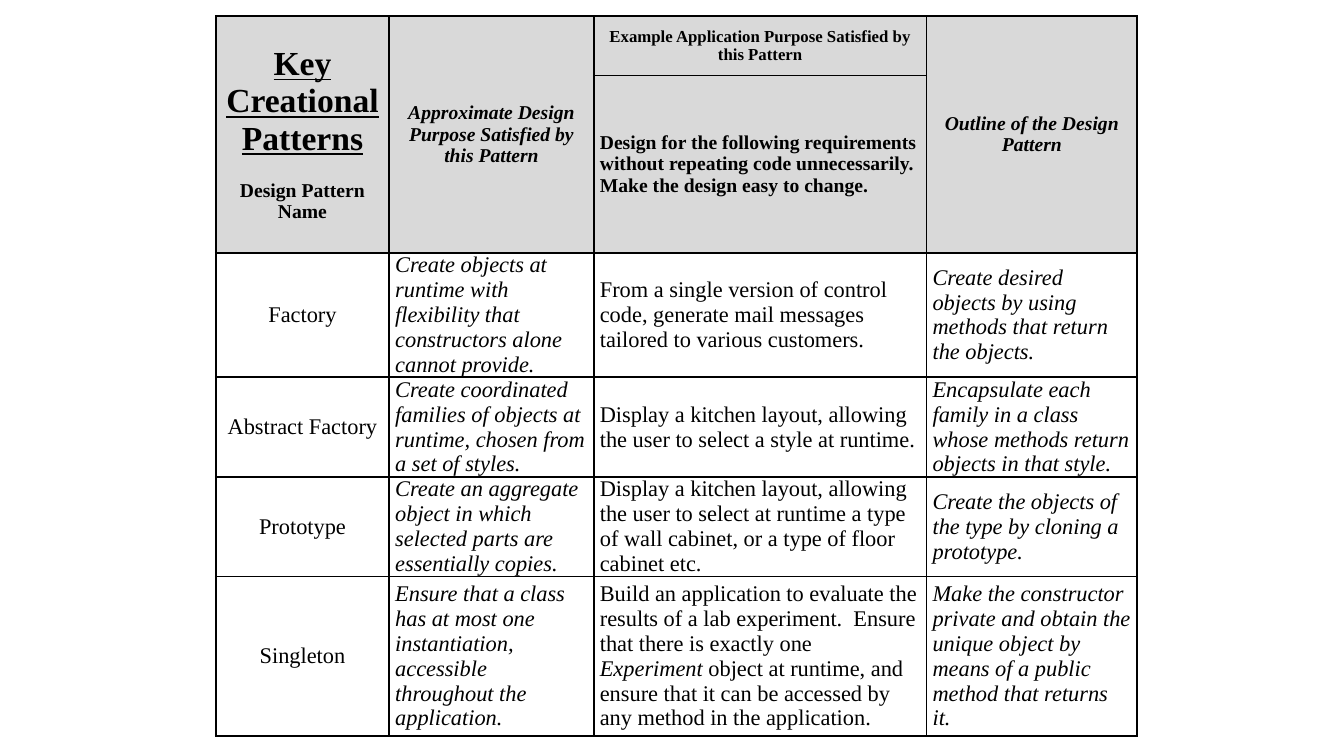
"""Build the slide with the table of key creational design patterns."""
from lxml.etree import SubElement
from pptx import Presentation
from pptx.dml.color import RGBColor as RGB
from pptx.enum.text import MSO_ANCHOR as ANCHOR, PP_ALIGN as ALIGN
from pptx.oxml.ns import qn
from pptx.util import Inches, Pt

HEAD_NAME = ["Key Creational Patterns", "Design Pattern", "Name"]
HEAD_PURPOSE = "Approximate Design Purpose Satisfied by this Pattern"
HEAD_EXAMPLE = "Example Application Purpose Satisfied by this Pattern"
HEAD_BRIEF = ("Design for the following requirements without repeating code unnecessarily.  "
              "Make the design easy to change.")
HEAD_OUTLINE = "Outline of the Design Pattern"
EMPHASIS = "Experiment"

PATTERNS = [
    ("Factory",
     "Create objects at runtime with flexibility that constructors alone cannot provide.",
     "From a single version of control code, generate mail messages tailored to various customers.",
     "Create desired objects by using methods that return the objects."),
    ("Abstract Factory",
     "Create coordinated families of objects at runtime, chosen from a set of styles.",
     "Display a kitchen layout, allowing the user to select a style at runtime.",
     "Encapsulate each family in a class whose methods return objects in that style."),
    ("Prototype",
     "Create an aggregate object in which selected parts are essentially copies.",
     "Display a kitchen layout, allowing the user to select at runtime a type of wall cabinet, "
     "or a type of floor cabinet etc.",
     "Create the objects of the type by cloning a prototype."),
    ("Singleton",
     "Ensure that a class has at most one instantiation, accessible throughout the application.",
     "Build an application to evaluate the results of a lab experiment.  Ensure that there is "
     "exactly one Experiment object at runtime, and ensure that it can be accessed by any method "
     "in the application.",
     "Make the constructor private and obtain the unique object by means of a public method "
     "that returns it."),
]

COL_WIDTHS = [1.72, 2.03, 3.3, 2.09]
ROW_HEIGHTS = [0.59, 0.99, 0.99, 0.79, 0.99, 1.58]
LEFT, TOP = 2.14, 0.16
ITALIC_COLS = (1, 3)
MERGED_COLS = (0, 1, 3)

THEME = {
    "font": "Times New Roman", "ink": "000000", "head_fill": "D9D9D9",
    "title": 24, "head": 14, "small": 12, "body": 16, "gap": 16, "line": 1.5, "inset": 0.06,
}


def style_font(font, size, bold=False, italic=False):
    font.name = THEME["font"]
    font.size = Pt(size)
    font.bold = bold
    font.italic = italic
    font.color.rgb = RGB.from_string(THEME["ink"])


def style_cell(cell, filled):
    cell.margin_left = cell.margin_right = Inches(THEME["inset"])
    cell.margin_top = cell.margin_bottom = 0
    cell.vertical_anchor = ANCHOR.MIDDLE
    tc_pr = cell._tc.get_or_add_tcPr()
    for side in ("a:lnL", "a:lnR", "a:lnT", "a:lnB"):
        ln = SubElement(tc_pr, qn(side), w=str(Pt(THEME["line"])))
        SubElement(SubElement(ln, qn("a:solidFill")), qn("a:srgbClr"), val=THEME["ink"])
    if filled:
        cell.fill.solid()
        cell.fill.fore_color.rgb = RGB.from_string(THEME["head_fill"])
    else:
        cell.fill.background()


def write(cell, text, size, bold=False, italic=False, align=ALIGN.LEFT):
    cell.text_frame.text = text
    for p in cell.text_frame.paragraphs:
        p.alignment = align
        for r in p.runs:
            style_font(r.font, size, bold, italic)


def write_emphasised(cell, text):
    before, after = text.split(EMPHASIS)
    p = cell.text_frame.paragraphs[0]
    p.alignment = ALIGN.LEFT
    for part in (before, EMPHASIS, after):
        r = p.add_run()
        r.text = part
        style_font(r.font, THEME["body"], italic=part == EMPHASIS)


def write_header(table):
    size = THEME["head"]
    for col in MERGED_COLS:
        table.cell(0, col).merge(table.cell(1, col))
    name = table.cell(0, 0)
    write(name, "\n".join(HEAD_NAME), size, True, align=ALIGN.CENTER)
    title, subtitle = name.text_frame.paragraphs[:2]
    title.runs[0].font.size = Pt(THEME["title"])
    title.runs[0].font.underline = True
    subtitle.space_before = Pt(THEME["gap"])
    write(table.cell(0, 1), HEAD_PURPOSE, size, True, True, ALIGN.CENTER)
    write(table.cell(0, 2), HEAD_EXAMPLE, THEME["small"], True, align=ALIGN.CENTER)
    write(table.cell(1, 2), HEAD_BRIEF, size, True)
    write(table.cell(0, 3), HEAD_OUTLINE, size, True, True, ALIGN.CENTER)


def write_body(table):
    for row, pattern in enumerate(PATTERNS, 2):
        for col, text in enumerate(pattern):
            cell = table.cell(row, col)
            if EMPHASIS in text:
                write_emphasised(cell, text)
            else:
                write(cell, text, THEME["body"], italic=col in ITALIC_COLS,
                      align=ALIGN.LEFT if col else ALIGN.CENTER)


def main():
    prs = Presentation()
    prs.slide_width, prs.slide_height = Inches(13.33), Inches(7.5)
    s = prs.slides.add_slide(prs.slide_layouts[6])
    table = s.shapes.add_table(
        len(ROW_HEIGHTS), len(COL_WIDTHS), Inches(LEFT), Inches(TOP),
        Inches(sum(COL_WIDTHS)), Inches(sum(ROW_HEIGHTS))).table
    table.first_row = table.horz_banding = False
    for column, width in zip(table.columns, COL_WIDTHS):
        column.width = Inches(width)
    for i, (row, height) in enumerate(zip(table.rows, ROW_HEIGHTS)):
        row.height = Inches(height)
        for cell in row.cells:
            style_cell(cell, filled=i < 2)
    write_header(table)
    write_body(table)
    prs.save("out.pptx")


if __name__ == "__main__":
    main()
